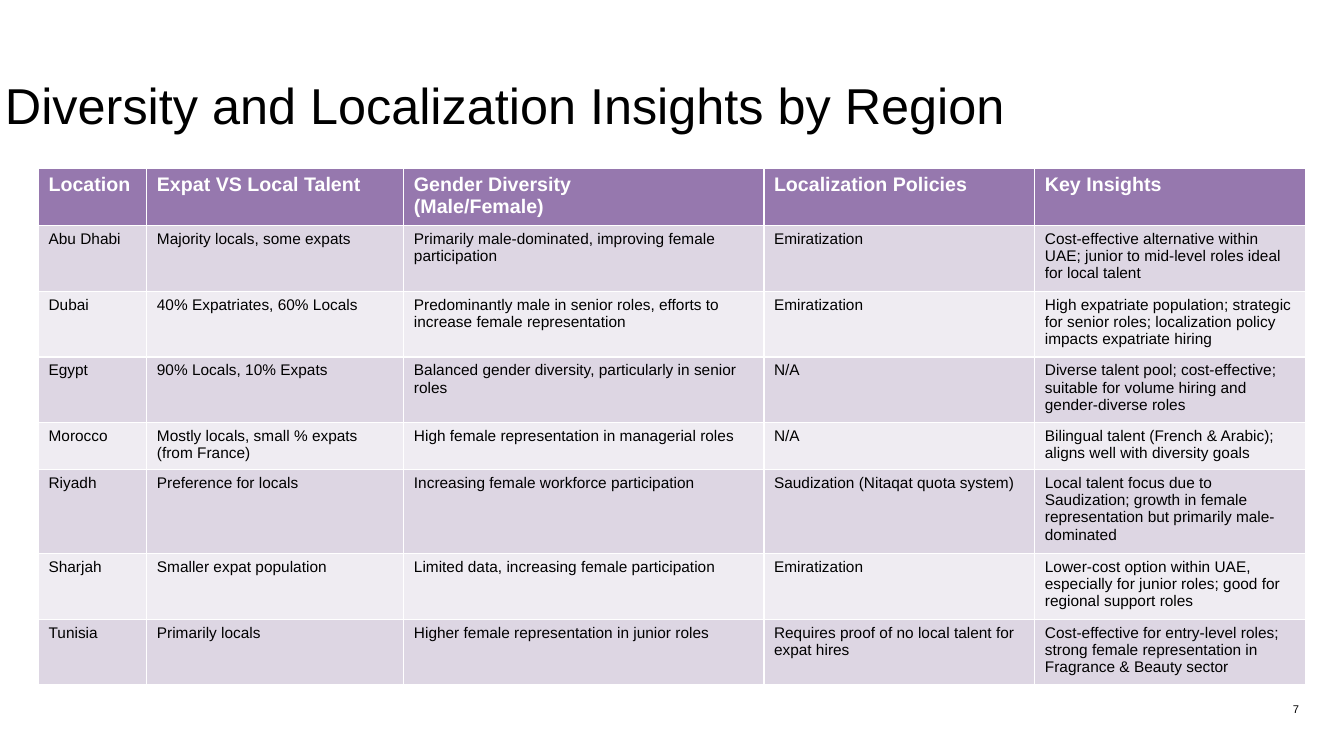
from copy import deepcopy

from pptx import Presentation
from pptx.dml.color import RGBColor
from pptx.enum import text
from pptx.oxml import ns
from pptx.util import Pt

BLACK = RGBColor(0x00, 0x00, 0x00)
WHITE = RGBColor(0xFF, 0xFF, 0xFF)
PURPLE = RGBColor(0x96, 0x78, 0xAE)
BANDS = [RGBColor(0xDD, 0xD6, 0xE3), RGBColor(0xEF, 0xEC, 0xF2)]

COLUMN_WIDTHS = [77.4, 183.6, 257.2, 193.5, 193.5]
HEADER_HEIGHT, ROW_HEIGHT = 38.2, 29.2
ROWS = [
    ["Location", "Expat VS Local Talent", "Gender Diversity\n(Male/Female)",
     "Localization Policies", "Key Insights"],
    ["Abu Dhabi", "Majority locals, some expats",
     "Primarily male-dominated, improving female participation", "Emiratization",
     "Cost-effective alternative within UAE; junior to mid-level roles ideal for local talent"],
    ["Dubai", "40% Expatriates, 60% Locals",
     "Predominantly male in senior roles, efforts to increase female representation",
     "Emiratization",
     "High expatriate population; strategic for senior roles; "
     "localization policy impacts expatriate hiring"],
    ["Egypt", "90% Locals, 10% Expats",
     "Balanced gender diversity, particularly in senior roles", "N/A",
     "Diverse talent pool; cost-effective; suitable for volume hiring and gender-diverse roles"],
    ["Morocco", "Mostly locals, small % expats (from France)",
     "High female representation in managerial roles", "N/A",
     "Bilingual talent (French & Arabic); aligns well with diversity goals"],
    ["Riyadh", "Preference for locals", "Increasing female workforce participation",
     "Saudization (Nitaqat quota system)",
     "Local talent focus due to Saudization; growth in female representation "
     "but primarily male-dominated"],
    ["Sharjah", "Smaller expat population", "Limited data, increasing female participation",
     "Emiratization",
     "Lower-cost option within UAE, especially for junior roles; good for regional support roles"],
    ["Tunisia", "Primarily locals", "Higher female representation in junior roles",
     "Requires proof of no local talent for expat hires",
     "Cost-effective for entry-level roles; strong female representation in "
     "Fragrance & Beauty sector"],
]


def write(tf, words, size, color=BLACK, bold=False, align=text.PP_ALIGN.LEFT):
    """Fill a text frame with one formatted paragraph; a newline is a line break."""
    tf.word_wrap = True
    p = tf.paragraphs[0]
    p.text = words
    p.alignment = align
    for r in p.runs:
        r.font.name, r.font.size, r.font.bold = "Arial", Pt(size), bold
        r.font.color.rgb = color
    for br in p._p.findall(ns.qn("a:br")):
        br.append(deepcopy(p.runs[0]._r.rPr))


def add_label(left, top, width, height, anchor, words, **fmt):
    tf = slide.shapes.add_textbox(Pt(left), Pt(top), Pt(width), Pt(height)).text_frame
    tf.margin_left = tf.margin_top = tf.margin_right = tf.margin_bottom = 0
    tf.vertical_anchor = anchor
    write(tf, words, **fmt)


prs = Presentation()
prs.slide_width, prs.slide_height = Pt(960), Pt(540)
slide = prs.slides.add_slide(prs.slide_layouts[6])

add_label(871, 499.7, 57, 11.5, text.MSO_ANCHOR.BOTTOM, "7",
          size=8, align=text.PP_ALIGN.RIGHT)

table = slide.shapes.add_table(
    len(ROWS), len(COLUMN_WIDTHS), Pt(27.5), Pt(120.4), Pt(sum(COLUMN_WIDTHS)),
    Pt(HEADER_HEIGHT + ROW_HEIGHT * (len(ROWS) - 1))).table
for column, width in zip(table.columns, COLUMN_WIDTHS):
    column.width = Pt(width)

for i, row in enumerate(ROWS):
    header = i == 0
    table.rows[i].height = Pt(HEADER_HEIGHT if header else ROW_HEIGHT)
    for j, words in enumerate(row):
        cell = table.cell(i, j)
        cell.fill.solid()
        cell.fill.fore_color.rgb = PURPLE if header else BANDS[(i - 1) % 2]
        write(cell.text_frame, words, size=14 if header else 11,
              color=WHITE if header else BLACK, bold=header)

add_label(-83.5, 52.6, 888.5, 44, text.MSO_ANCHOR.TOP,
          "Diversity and Localization Insights by Region",
          size=36, align=text.PP_ALIGN.CENTER)

prs.save("out.pptx")
